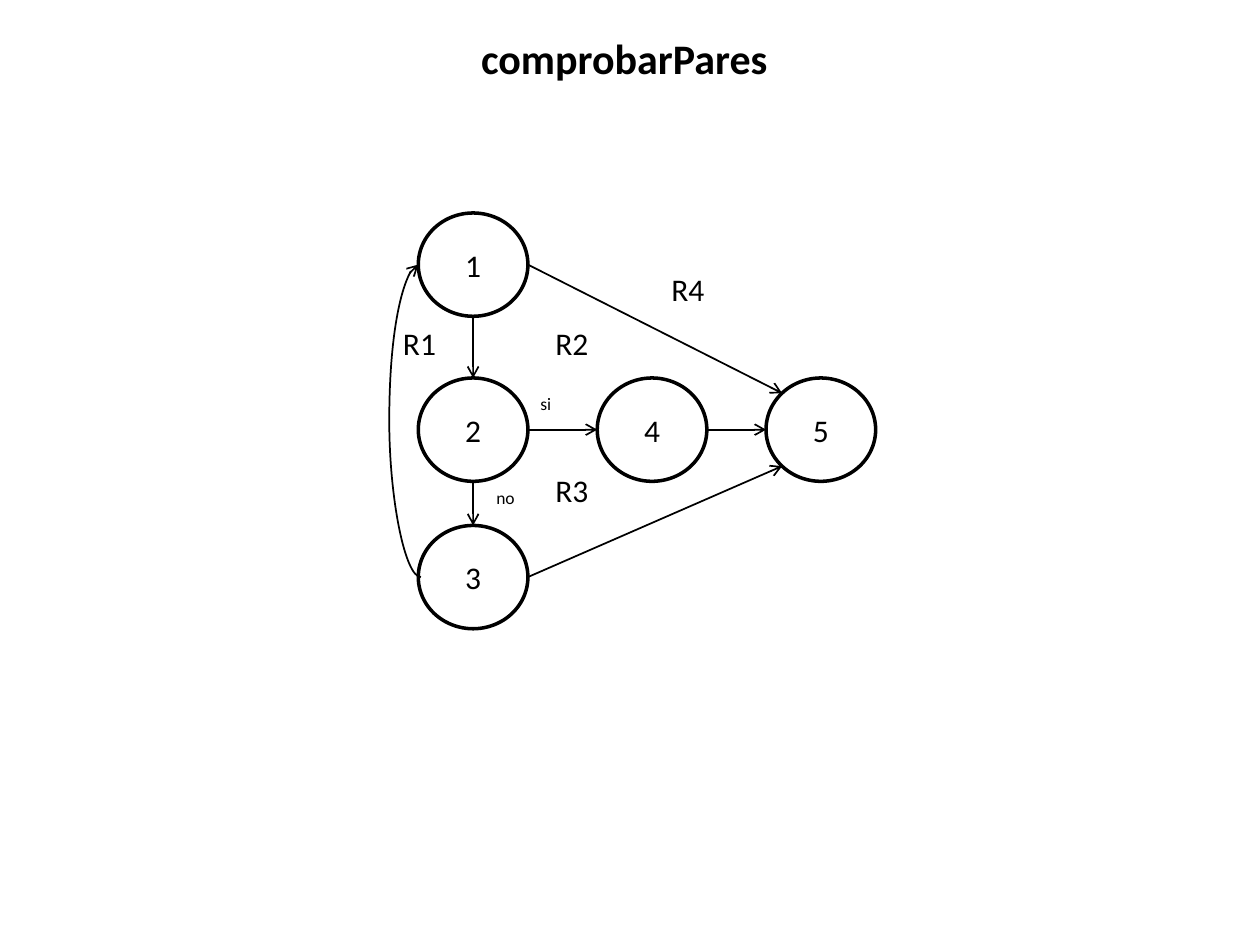
import math

import pptx
import pptx.dml.color
import pptx.enum.shapes
import pptx.enum.text
import pptx.oxml
import pptx.oxml.ns
import pptx.util
from lxml import etree

Inches = pptx.util.Inches
BLACK = pptx.dml.color.RGBColor(0, 0, 0)
FONT = "Calibri"
CENTER = pptx.enum.text.PP_ALIGN.CENTER
MIDDLE = pptx.enum.text.MSO_ANCHOR.MIDDLE
CONNECTOR = pptx.enum.shapes.MSO_CONNECTOR

TITLE = "comprobarPares"
NODE_W, NODE_H = 0.87, 0.82
NODES = {
    "1": (3.32, 1.69),
    "2": (3.32, 3.00),
    "3": (3.32, 4.17),
    "4": (4.74, 3.00),
    "5": (6.08, 3.00),
}
SITES = ["top", "top left", "left", "bottom left",
         "bottom", "bottom right", "right", "top right"]
EDGES = [
    ("1", "bottom", "2", "top"),
    ("2", "bottom", "3", "top"),
    ("2", "right", "4", "left"),
    ("4", "right", "5", "left"),
    ("1", "right", "5", "top left"),
    ("3", "right", "5", "bottom left"),
]
LOOP_BULGE, LOOP_W = 0.25, 0.02
BRANCH_SIZE, REGION_SIZE = (0.35, 0.27), (0.47, 0.40)
LABELS = [
    ("si", 4.19, 3.07, BRANCH_SIZE, 10),
    ("no", 3.84, 3.82, BRANCH_SIZE, 10),
    ("R1", 3.10, 2.52, REGION_SIZE, 18),
    ("R2", 4.31, 2.52, REGION_SIZE, 18),
    ("R3", 4.31, 3.69, REGION_SIZE, 18),
    ("R4", 5.23, 2.09, REGION_SIZE, 18),
]


def write(shape, text, size, bold=False):
    shape.text_frame.text = text
    paragraph = shape.text_frame.paragraphs[0]
    paragraph.font.name = FONT
    paragraph.font.size = pptx.util.Pt(size)
    paragraph.font.bold = bold
    paragraph.font.color.rgb = BLACK
    return paragraph


def site_point(node, site):
    left, top = NODES[node]
    angle = math.radians(90 + 45 * SITES.index(site))
    return (left + NODE_W / 2 * (1 + math.cos(angle)),
            top + NODE_H / 2 * (1 - math.sin(angle)))


def add_arrow(slide, kind, begin, end):
    arrow = slide.shapes.add_connector(kind, *map(Inches, begin + end))
    arrow.line.color.rgb = BLACK
    arrow.line.width = pptx.util.Pt(1)
    tail = etree.SubElement(arrow.line._get_or_add_ln(), pptx.oxml.ns.qn("a:tailEnd"))
    tail.set("type", "arrow")
    etree.SubElement(arrow._element.spPr, pptx.oxml.ns.qn("a:effectLst"))
    return arrow


def glue(arrow, tag, circle, site):
    properties = arrow._element.find(".//" + pptx.oxml.ns.qn("p:cNvCxnSpPr"))
    joint = etree.SubElement(properties, pptx.oxml.ns.qn(tag))
    joint.set("id", str(circle.shape_id))
    joint.set("idx", str(SITES.index(site)))


def add_loop(slide):
    left, top = site_point("1", "left")
    bottom = site_point("3", "left")[1]
    loop = add_arrow(slide, CONNECTOR.CURVE, (left, top), (left + LOOP_W, bottom))
    properties = loop._element.spPr
    properties.find(pptx.oxml.ns.qn("a:xfrm")).set("rot", str(180 * 60000))
    adjustments = properties.find(".//" + pptx.oxml.ns.qn("a:avLst"))
    guide = etree.SubElement(adjustments, pptx.oxml.ns.qn("a:gd"))
    guide.set("name", "adj1")
    guide.set("fmla", f"val {round(LOOP_BULGE / LOOP_W * 100000)}")


def main():
    deck = pptx.Presentation()
    deck.slide_width, deck.slide_height = Inches(10), Inches(7.5)
    slide = deck.slides.add_slide(deck.slide_layouts.get_by_name("Title Only"))

    title = slide.shapes.title
    title.left, title.top = Inches(1.05), Inches(0.21)
    title.width, title.height = Inches(7.81), Inches(0.5)
    write(title, TITLE, 24, bold=True).alignment = CENTER

    circles = {}
    for number, (left, top) in NODES.items():
        circle = slide.shapes.add_shape(
            pptx.enum.shapes.MSO_SHAPE.OVAL,
            *map(Inches, (left, top, NODE_W, NODE_H)))
        circle.shadow.inherit = False
        circle.fill.background()
        circle.line.color.rgb = BLACK
        circle.line.width = pptx.util.Pt(2)
        circle.text_frame.vertical_anchor = MIDDLE
        write(circle, number, 18).alignment = CENTER
        circles[number] = circle

    for source, exit_site, target, entry_site in EDGES:
        arrow = add_arrow(slide, CONNECTOR.STRAIGHT,
                          site_point(source, exit_site),
                          site_point(target, entry_site))
        glue(arrow, "a:stCxn", circles[source], exit_site)
        glue(arrow, "a:endCxn", circles[target], entry_site)
    add_loop(slide)

    for text, left, top, size, points in LABELS:
        label = slide.shapes.add_textbox(*map(Inches, (left, top) + size))
        label.text_frame.word_wrap = False
        write(label, text, points).alignment = pptx.enum.text.PP_ALIGN.LEFT

    deck.save("out.pptx")


if __name__ == "__main__":
    main()
